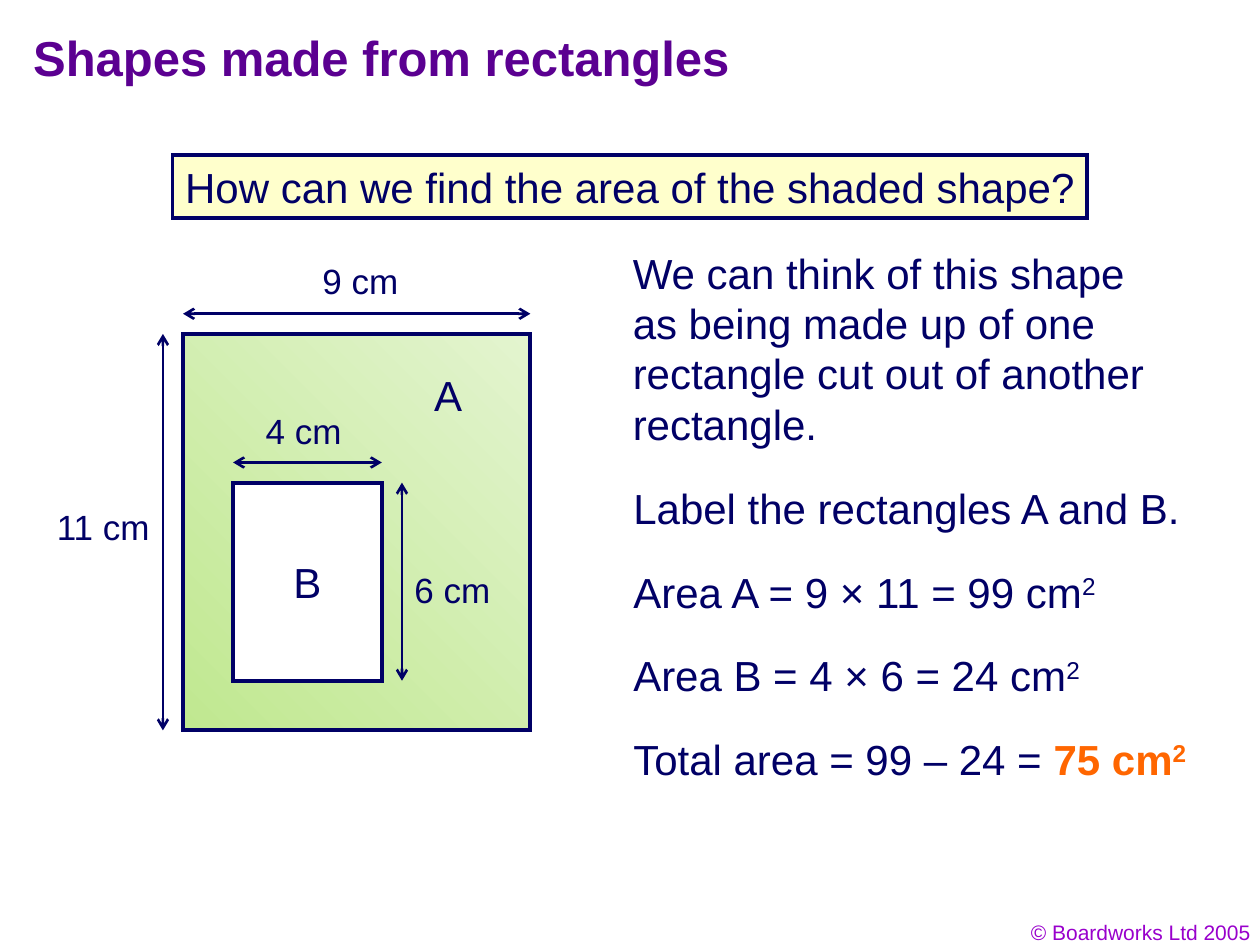
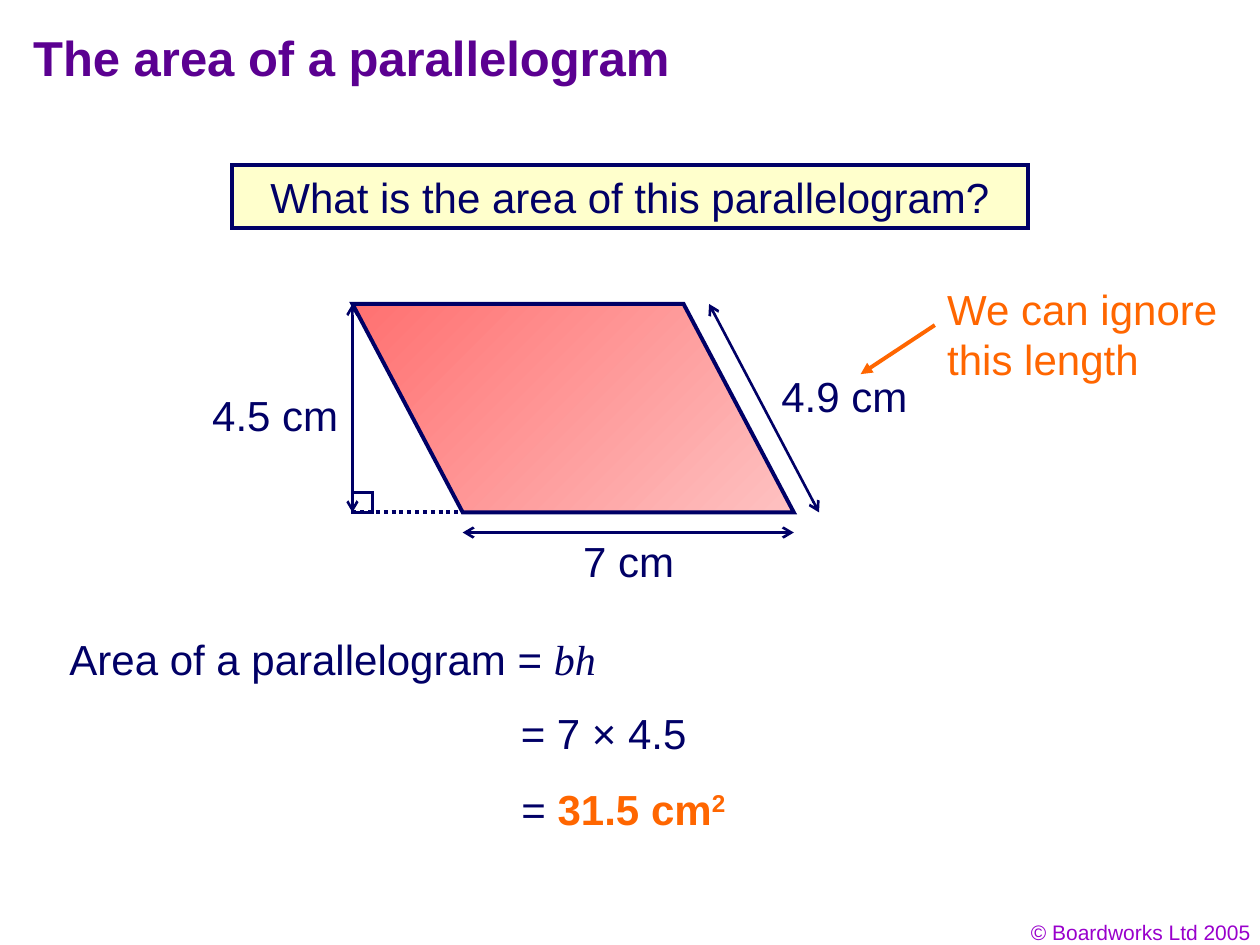
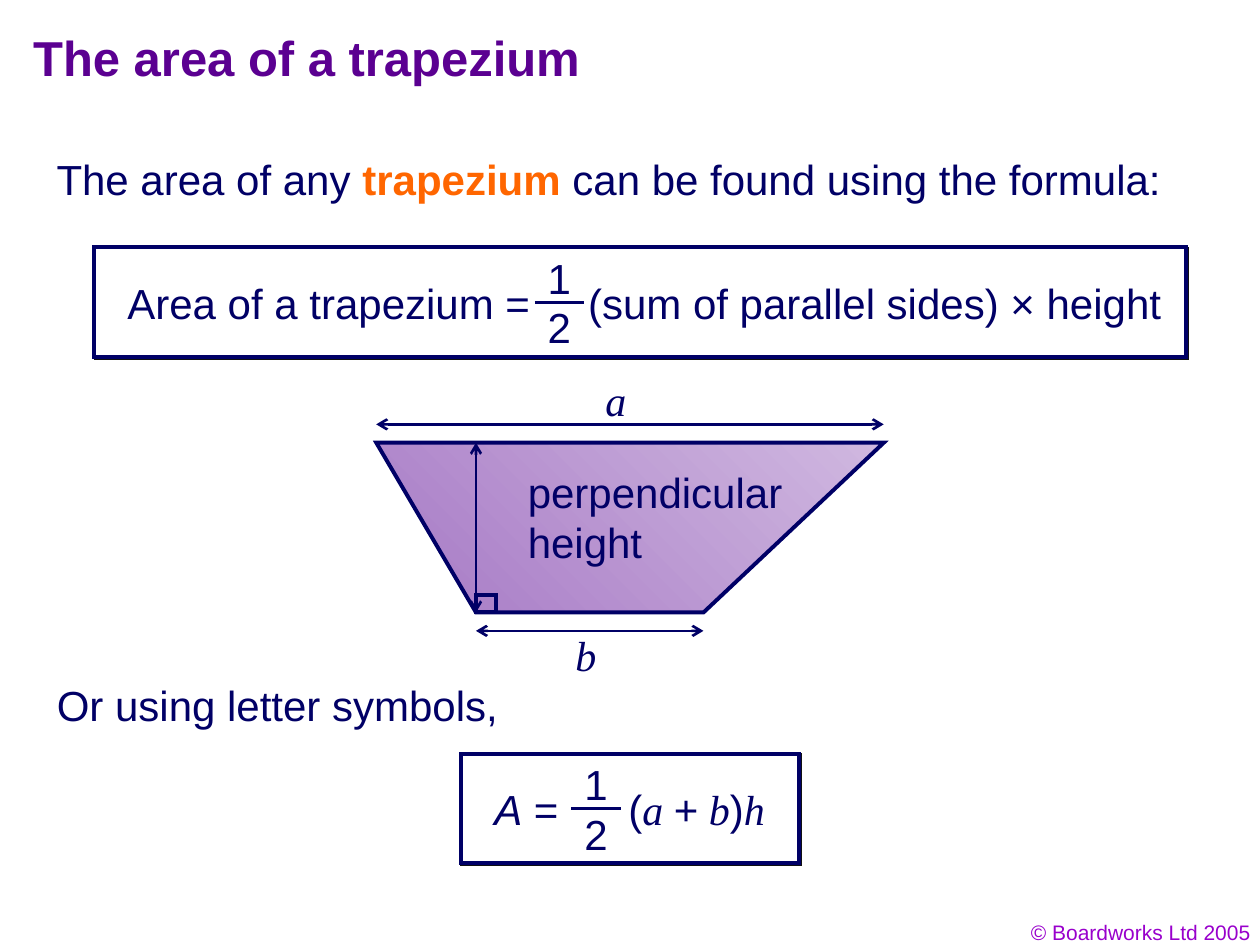
import dataclasses

import pptx
import pptx.dml.color
import pptx.enum.dml
import pptx.enum.shapes
import pptx.enum.text
import pptx.oxml
import pptx.oxml.ns
import pptx.util
import lxml.etree

Pt = pptx.util.Pt
RGB = pptx.dml.color.RGBColor.from_string
RECTANGLE = pptx.enum.shapes.MSO_SHAPE.RECTANGLE
ALIGN = pptx.enum.text.PP_ALIGN
ANCHOR = pptx.enum.text.MSO_ANCHOR


@dataclasses.dataclass(frozen=True)
class Theme:
    outline: str = "000066"
    text: str = "010066"
    title: str = "5B0091"
    footer: str = "9900CC"
    key: str = "FF6600"
    question: str = "FFFFCC"
    paper: str = "FFFFFF"
    shadow: str = "111111"
    green: tuple = ("E3F4CF", "C0E890")
    red: tuple = ("FEC1C1", "FF7171")
    purple: tuple = ("D0B8E0", "A679C5")
    font: str = "Arial"
    math_font: str = "Times New Roman"
    title_size: int = 28
    body_size: int = 24
    label_size: int = 20
    footer_size: int = 12
    thick: float = 2.25
    thin: float = 1.5


theme = Theme()


def write(shape, runs, size=theme.body_size, color=theme.text, font=theme.font,
          bold=None, italic=None, align=None, wrap=False, anchor=ANCHOR.TOP):
    """Fill a shape with one paragraph; runs is a string or (text, styles) pairs."""
    frame = shape.text_frame
    frame.word_wrap = wrap
    frame.vertical_anchor = anchor
    paragraph = frame.paragraphs[0]
    paragraph.alignment = align or ALIGN.LEFT
    paragraph.font.size = Pt(size)
    paragraph.font.name = font
    paragraph.font.bold = bold
    paragraph.font.italic = italic
    paragraph.font.color.rgb = RGB(color)
    for words, styles in [(runs, "")] if isinstance(runs, str) else runs:
        run = paragraph.add_run()
        run.text = words
        if "key" in styles:
            run.font.bold = True
            run.font.color.rgb = RGB(theme.key)
        if "math" in styles:
            run.font.name = theme.math_font
        if "math" in styles or "italic" in styles:
            run.font.italic = True
        if "super" in styles:
            run.font._element.set("baseline", "30000")


def draw_line(slide, ends, color=theme.outline, width=theme.thin,
              head="arrow", tail="arrow", dash=None):
    line = slide.shapes.add_connector(
        pptx.enum.shapes.MSO_CONNECTOR.STRAIGHT, *map(Pt, ends))
    line.line.color.rgb = RGB(color)
    line.line.width = Pt(width)
    if dash:
        line.line.dash_style = dash
    ln = line.line._get_or_add_ln()
    for end, kind in (("a:headEnd", head), ("a:tailEnd", tail)):
        if kind:
            lxml.etree.SubElement(ln, pptx.oxml.ns.qn(end)).set("type", kind)
    lxml.etree.SubElement(line._element.spPr, pptx.oxml.ns.qn("a:effectLst"))


deck = pptx.Presentation()
deck.slide_width, deck.slide_height = Pt(720), Pt(540)

# Title and footer of every slide
slides = []
for title in ("Shapes made from rectangles", "The area of a parallelogram",
              "The area of a trapezium"):
    slide = deck.slides.add_slide(deck.slide_layouts[6])
    slides.append(slide)
    footer = slide.shapes.add_textbox(Pt(553.7), Pt(522), Pt(168), Pt(21.6))
    write(footer, "© Boardworks Ltd 2005", theme.footer_size, theme.footer,
          align=ALIGN.RIGHT, wrap=True)
    heading = slide.shapes.add_textbox(Pt(11.9), Pt(8.6), Pt(648), Pt(48))
    write(heading, title, theme.title_size, theme.title, bold=True, wrap=True,
          anchor=ANCHOR.MIDDLE)
rectangles, parallelogram, trapezium = slides

# Outlined shapes as (shape, fill, line width), styled together at the end
outlined = []

# Questions
for slide, box, question in (
        (rectangles, (98.6, 88.6, 522.7, 36),
         "How can we find the area of the shaded shape?"),
        (parallelogram, (132.5, 94.3, 455, 36),
         "What is the area of this parallelogram?")):
    banner = slide.shapes.add_shape(RECTANGLE, *map(Pt, box))
    write(banner, question, align=ALIGN.CENTER)
    outlined.append((banner, theme.question, theme.thick))

# Slide 1: rectangle B cut out of rectangle A
gap = 11.5
a_left, a_top, a_width, a_height = 104.6, 190.8, 198.5, 226.6
b_left, b_top, b_width, b_height = 133.2, 275.8, 85, 113.2
for box, fill in (((a_left, a_top, a_width, a_height), theme.green),
                  ((b_left, b_top, b_width, b_height), theme.paper)):
    rectangle = rectangles.shapes.add_shape(RECTANGLE, *map(Pt, box))
    outlined.append((rectangle, fill, theme.thick))

b_side = b_left + b_width + gap
for ends in ((a_left, a_top - gap, a_left + a_width, a_top - gap),
             (a_left - gap, a_top, a_left - gap, a_top + a_height),
             (b_left, b_top - gap, b_left + b_width, b_top - gap),
             (b_side, b_top + b_height, b_side, b_top)):
    draw_line(rectangles, ends)

for left, top, width, length in ((177.1, 145, 60, "9 cm"),
                                 (25.4, 285.1, 72, "11 cm"),
                                 (144.7, 230.4, 60, "4 cm"),
                                 (229.7, 321.1, 60, "6 cm")):
    label = rectangles.shapes.add_textbox(Pt(left), Pt(top), Pt(width), Pt(31.7))
    write(label, length, theme.label_size)

for left, top, name in ((241, 207.4, "A"), (160.6, 314.6, "B")):
    label = rectangles.shapes.add_textbox(Pt(left), Pt(top), Pt(32), Pt(36))
    write(label, name)

# Slide 1: working
thought = rectangles.shapes.add_textbox(Pt(354.5), Pt(137.7), Pt(313.2), Pt(122.4))
write(thought, "We can think of this shape as being made up of one "
      "rectangle cut out of another rectangle.", wrap=True)
for step, (width, runs) in enumerate((
        (334, "Label the rectangles A and B."),
        (290, [("Area A = 9 × 11 = 99 cm", ""), ("2", "super")]),
        (280, [("Area B = 4 × 6 = 24 cm", ""), ("2", "super")]),
        (340, [("Total area = 99 – 24 = ", ""), ("75 cm", "key"),
               ("2", "key super")]))):
    working = rectangles.shapes.add_textbox(
        Pt(354.8), Pt(272.2 + 47.8 * step), Pt(width), Pt(36))
    write(working, runs)

# Slide 2: height, base and right angle
left, top, right, bottom, slant = 201.4, 173.7, 453.6, 292.8, 63
draw_line(parallelogram, (left + slant, bottom + gap, right, bottom + gap))
draw_line(parallelogram, (left, top, left, bottom))
draw_line(parallelogram, (left, bottom, 278, bottom), width=theme.thick, head=None,
          tail=None, dash=pptx.enum.dml.MSO_LINE.ROUND_DOT)
right_angle = parallelogram.shapes.add_shape(
    RECTANGLE, Pt(left), Pt(bottom - gap), Pt(gap), Pt(gap))
outlined.append((right_angle, None, theme.thin))

# Slide 2: parallelogram, leaning to the left
leaning = parallelogram.shapes.add_shape(
    pptx.enum.shapes.MSO_SHAPE.PARALLELOGRAM,
    Pt(left), Pt(top), Pt(right - left), Pt(bottom - top))
leaning.adjustments[0] = slant / (bottom - top)
leaning._element.spPr.get_or_add_xfrm().set("flipV", "1")
outlined.append((leaning, theme.red, theme.thick))
draw_line(parallelogram, (405.2, top, 468, bottom))

# Slide 2: lengths and working
for box, runs in (
        ((326.2, 302.4, 72, 36), "7 cm"),
        ((114.2, 218.9, 92, 36), "4.5 cm"),
        ((439.4, 208.1, 92, 36), "4.9 cm"),
        ((32.6, 358.2, 322, 36),
         [("Area of a parallelogram = ", ""), ("bh", "math")]),
        ((290.5, 401, 120, 36), "= 7 × 4.5"),
        ((290.9, 444, 140, 36),
         [("= ", ""), ("31.5 cm", "key"), ("2", "key super")])):
    write(parallelogram.shapes.add_textbox(*map(Pt, box)), runs)

# Slide 2: hint
hint = parallelogram.shapes.add_textbox(Pt(534.2), Pt(158.4), Pt(171.4), Pt(64.8))
write(hint, "We can ignore this length", color=theme.key, wrap=True)
draw_line(parallelogram, (534.2, 185.8, 491.8, 213.8), theme.key, theme.thick,
          head=None, tail="triangle")

# Slide 3: sentences
for box, runs in (
        ((25.2, 84.2, 680.4, 36), [("The area of any ", ""), ("trapezium", "key"),
                                   (" can be found using the formula:", "")]),
        ((25.4, 384.5, 272, 36), "Or using letter symbols,")):
    write(trapezium.shapes.add_textbox(*map(Pt, box)), runs)

# Slide 3: framed formulas, each with a half between its two sides
for frame_left, frame_top, frame_width, half_left, before, after in (
        (54, 141.4, 623.5, 305.6,
         (65.7, 256, "Area of a trapezium ="),
         (329, 352, "(sum of parallel sides) × height")),
        (263.5, 430.8, 193, 326.5,
         (275.4, 60, [("A", "italic"), (" =", "")]),
         (352, 106, [("(", ""), ("a ", "math"), ("+", ""), (" b", "math"),
                     (")", ""), ("h", "math")]))):
    frame = trapezium.shapes.add_shape(
        RECTANGLE, Pt(frame_left), Pt(frame_top), Pt(frame_width), Pt(62.6))
    outlined.append((frame, theme.paper, theme.thick))
    frame._element.spPr.append(pptx.oxml.parse_xml(
        f'<a:effectLst {pptx.oxml.ns.nsdecls("a")}>'
        '<a:outerShdw dist="12700" dir="2700000" algn="ctr" rotWithShape="0">'
        f'<a:srgbClr val="{theme.shadow}"/></a:outerShdw></a:effectLst>'))
    for part_left, drop, part_width, runs in (
            (before[0], 13.4, *before[1:]), (after[0], 13.4, *after[1:]),
            (half_left + 0.3, -0.7, 30, "1"), (half_left + 0.3, 27.5, 30, "2")):
        part = trapezium.shapes.add_textbox(
            Pt(part_left), Pt(frame_top + drop), Pt(part_width), Pt(36))
        write(part, runs)
    bar = frame_top + 31.3
    draw_line(trapezium, (half_left, bar, half_left + 28.4, bar), head=None, tail=None)

# Slide 3: trapezium with its right angle
top, bottom = 253, 350
a_start, a_end, b_start, b_end = 215, 505, 272, 402
outline = trapezium.shapes.build_freeform(b_end, bottom, scale=Pt(1))
outline.add_line_segments([(b_start, bottom), (a_start, top), (a_end, top)], close=True)
outlined.append((outline.convert_to_shape(), theme.purple, theme.thick))
right_angle = trapezium.shapes.add_shape(
    RECTANGLE, Pt(b_start), Pt(bottom - 10), Pt(11.5), Pt(10))
outlined.append((right_angle, None, theme.thick))

# Slide 3: dimensions
for ends in ((b_start, bottom + 10.5, b_end, bottom + 10.5),
             (b_start, top, b_start, bottom),
             (a_start, top - 10.5, a_end, top - 10.5)):
    draw_line(trapezium, ends)
height = trapezium.shapes.add_textbox(Pt(294.5), Pt(263), Pt(170), Pt(64.8))
write(height, "perpendicular height", wrap=True)
for left, label_top, side in ((338.9, 210.4, "a"), (321.8, 356.4, "b")):
    label = trapezium.shapes.add_textbox(Pt(left), Pt(label_top), Pt(28), Pt(36))
    write(label, side, font=theme.math_font, italic=True)

# Fills and square-cornered outlines
for shape, fill, width in outlined:
    if shape._element.spPr.find(pptx.oxml.ns.qn("a:effectLst")) is None:
        shape.shadow.inherit = False
    shape.line.color.rgb = RGB(theme.outline)
    shape.line.width = Pt(width)
    corner = lxml.etree.SubElement(shape.line._get_or_add_ln(),
                                   pptx.oxml.ns.qn("a:miter"))
    corner.set("lim", "800000")
    if fill is None:
        shape.fill.background()
    elif isinstance(fill, tuple):
        shape.fill.gradient()
        shape.fill.gradient_angle = 225
        for position, (stop, color) in enumerate(zip(shape.fill.gradient_stops, fill)):
            stop.position = position
            stop.color.rgb = RGB(color)
    else:
        shape.fill.solid()
        shape.fill.fore_color.rgb = RGB(fill)

deck.save("out.pptx")
